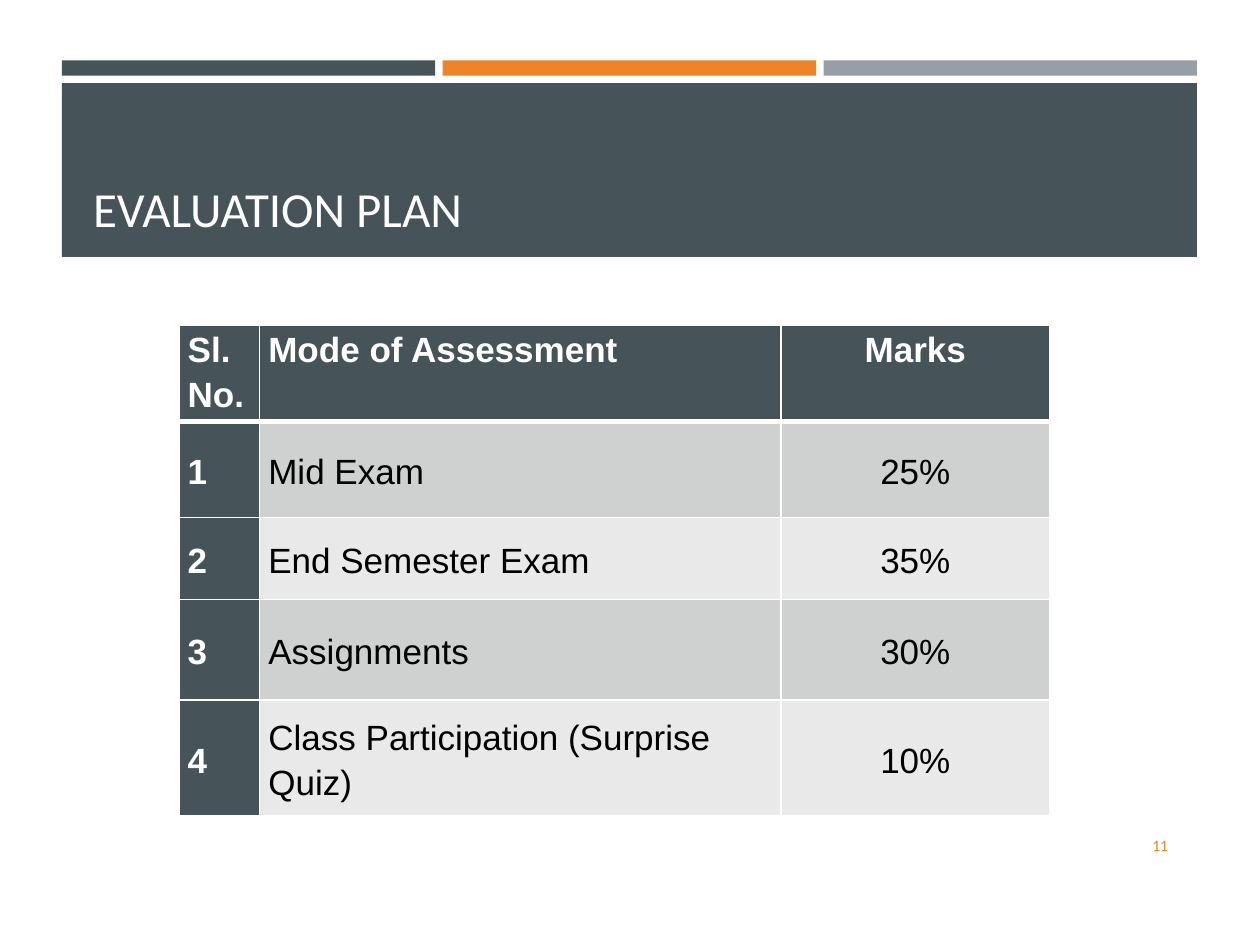
import collections

import lxml.etree
import pptx
import pptx.dml.color
import pptx.enum.shapes
import pptx.enum.text
import pptx.oxml.ns
import pptx.util

COLUMNS, ROWS = 1000, 750
SLATE, ORANGE, GREY, WHITE, BLACK = "465359", "ED8428", "969FA7", "FFFFFF", "000000"
BANDS = ["CFD1D1", "E9E9EA"]
ALIGN = pptx.enum.text.PP_ALIGN
ANCHOR = pptx.enum.text.MSO_ANCHOR
Box = collections.namedtuple("Box", "left top width height")

deck = pptx.Presentation()
deck.slide_width = pptx.util.Inches(10)
deck.slide_height = pptx.util.Inches(7.5)


def across(columns):
    return round(deck.slide_width * columns / COLUMNS)


def down(rows):
    return round(deck.slide_height * rows / ROWS)


def place(box):
    return across(box.left), down(box.top), across(box.width), down(box.height)


def color(value):
    return pptx.dml.color.RGBColor.from_string(value)


def paint(part, value):
    part.fill.solid()
    part.fill.fore_color.rgb = color(value)


def write(frame, text, size=20, font="Arial", ink=BLACK, bold=False,
          align=ALIGN.LEFT, spacing=1.0):
    frame.word_wrap = True
    para = frame.paragraphs[0]
    para.alignment = align
    para.line_spacing = spacing
    span = para.add_run()
    span.text = text
    span.font.size = pptx.util.Pt(size)
    span.font.name = font
    span.font.bold = bold
    span.font.color.rgb = color(ink)


def add_bar(page, box, value):
    bar = page.shapes.add_shape(pptx.enum.shapes.MSO_SHAPE.RECTANGLE, *place(box))
    bar.shadow.inherit = False
    paint(bar, value)
    bar.line.fill.background()


def add_text(page, box, text, anchor, **style):
    frame = page.shapes.add_textbox(*place(box)).text_frame
    frame.vertical_anchor = anchor
    write(frame, text, **style)


def add_header(page, box, title):
    gap, strip = 6, 12
    width = (box.width - 2 * gap) / 3
    for index, value in enumerate([SLATE, ORANGE, GREY]):
        left = box.left + index * (width + gap)
        add_bar(page, Box(left, box.top, width, strip), value)
    top = box.top + strip + gap
    height = box.height - strip - gap
    add_bar(page, Box(box.left, top, box.width, height), SLATE)
    add_text(page, Box(box.left + 15, top + 9, box.width - 27, height - 20), title,
             ANCHOR.BOTTOM, size=28, font="Calibri", ink=WHITE)


def add_borders(cell, bottom):
    properties = cell._tc.get_or_add_tcPr()
    name = pptx.oxml.ns.qn
    for side, points in [("L", 1), ("R", 1), ("T", 1), ("B", bottom)]:
        line = lxml.etree.SubElement(properties, name("a:ln" + side),
                                     w=str(pptx.util.Pt(points)))
        fill = lxml.etree.SubElement(line, name("a:solidFill"))
        lxml.etree.SubElement(fill, name("a:srgbClr"), val=WHITE)


def add_marks_table(page, box, widths, heights, records):
    table = page.shapes.add_table(len(heights), len(widths), *place(box)).table
    for column, width in zip(table.columns, widths):
        column.width = across(width)
    for row, height in zip(table.rows, heights):
        row.height = down(height)
    for row, record in enumerate(records):
        for column, text in enumerate(record):
            cell = table.cell(row, column)
            heading = row == 0 or column == 0
            add_borders(cell, bottom=3 if row == 0 else 1)
            paint(cell, SLATE if heading else BANDS[(row - 1) % 2])
            cell.margin_left = cell.margin_right = across(7)
            cell.margin_top = cell.margin_bottom = 0
            cell.vertical_anchor = ANCHOR.TOP if row == 0 else ANCHOR.MIDDLE
            write(cell.text_frame, text, ink=WHITE if heading else BLACK, bold=heading,
                  align=ALIGN.CENTER if column == 2 else ALIGN.LEFT, spacing=1.15)


def add_evaluation_page():
    page = deck.slides.add_slide(deck.slide_layouts[6])
    add_header(page, Box(49, 48, 901, 156), "EVALUATION PLAN")
    add_marks_table(page, Box(142, 258, 691, 377), [64, 414, 213], [64, 76, 65, 80, 92], [
        ("Sl. No.", "Mode of Assessment", "Marks"),
        ("1", "Mid Exam", "25%"),
        ("2", "End Semester Exam", "35%"),
        ("3", "Assignments", "30%"),
        ("4", "Class Participation (Surprise Quiz)", "10%"),
    ])
    add_text(page, Box(853, 651, 84, 40), "11", ANCHOR.MIDDLE,
             size=9, font="Calibri", ink=ORANGE, align=ALIGN.RIGHT)


add_evaluation_page()
deck.save("out.pptx")
